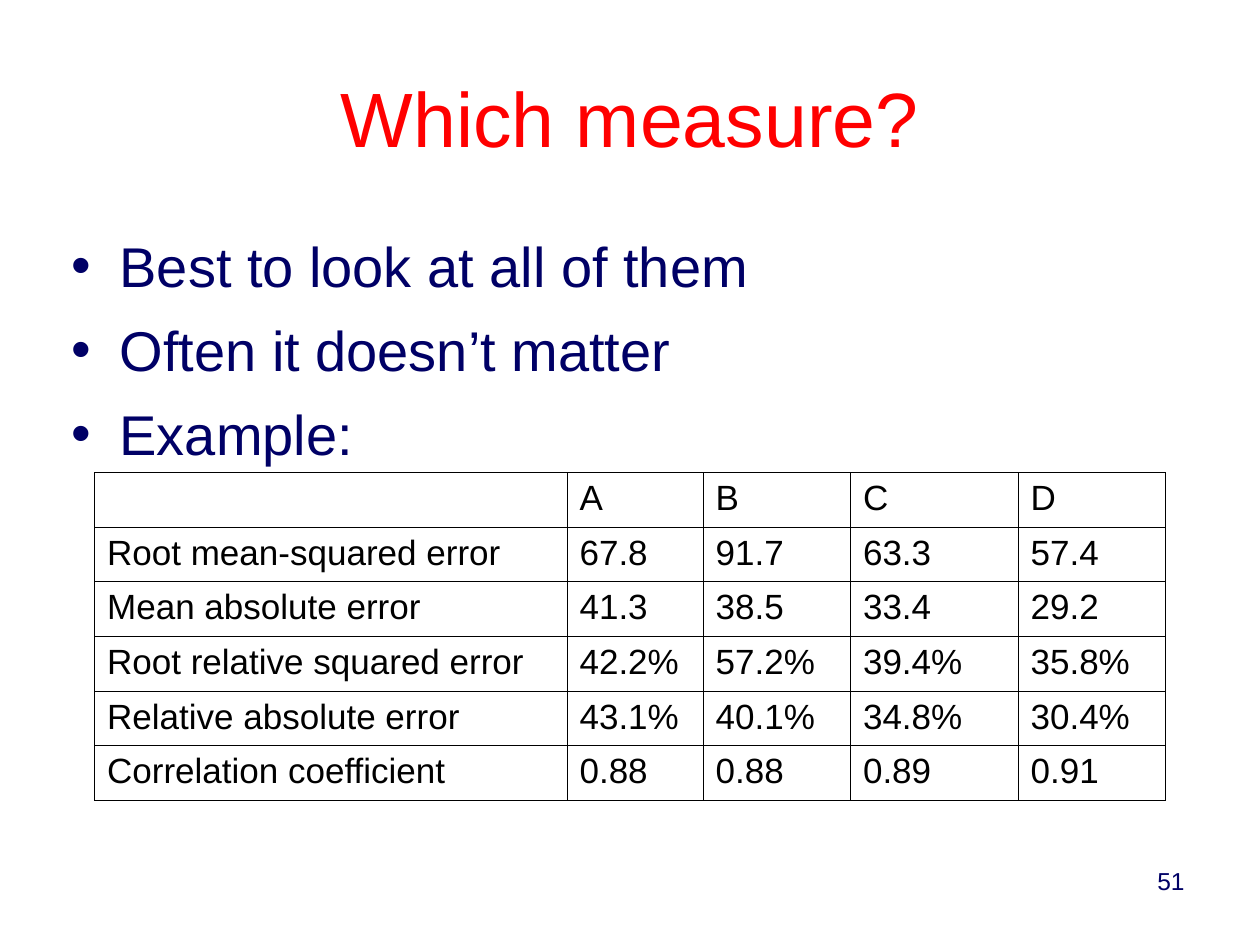
from lxml.etree import SubElement
from pptx import Presentation
from pptx.dml.color import RGBColor
from pptx.enum.text import MSO_ANCHOR, PP_ALIGN
from pptx.oxml.ns import qn
from pptx.util import Inches, Pt

WIDTH, HEIGHT = 10, 7.5
RED, NAVY, BLACK = "FF0000", "000066", "000000"


def rgb(value):
    return RGBColor.from_string(value)


class Deck:
    font = "Arial"
    bullet_indent = Inches(0.38)
    border_width = Pt(0.45)

    def __init__(self):
        self.prs = Presentation()
        self.prs.slide_width, self.prs.slide_height = Inches(WIDTH), Inches(HEIGHT)
        self.s = self.prs.slides.add_slide(self.prs.slide_layouts[6])

    def box(self, x, y, w, h):
        return (Inches(x * WIDTH), Inches(y * HEIGHT),
                Inches(w * WIDTH), Inches(h * HEIGHT))

    def style(self, p, size, color):
        for r in p.runs:
            r.font.name, r.font.size = self.font, Pt(size)
            r.font.color.rgb = rgb(color)

    def text(self, area, text, size, color, align=PP_ALIGN.LEFT, anchor=MSO_ANCHOR.TOP):
        tf = self.s.shapes.add_textbox(*self.box(*area)).text_frame
        tf.word_wrap, tf.vertical_anchor = True, anchor
        tf.text = text
        for p in tf.paragraphs:
            p.alignment = align
            self.style(p, size, color)
        return tf

    def bullets(self, area, items, size, color, gap):
        tf = self.text(area, "\n".join(items), size, color)
        tf.margin_left, tf.margin_top = Inches(0.07), Inches(0.09)
        for i, p in enumerate(tf.paragraphs):
            pPr = p._p.get_or_add_pPr()
            pPr.set("marL", str(self.bullet_indent))
            pPr.set("indent", str(-self.bullet_indent))
            SubElement(pPr, qn("a:buFont"), typeface=self.font)
            SubElement(pPr, qn("a:buChar"), char="•")
            if i:
                p.space_before = Pt(gap)

    def border(self, cell, color):
        tcPr = cell._tc.get_or_add_tcPr()
        for side in ("lnL", "lnR", "lnT", "lnB"):
            ln = SubElement(tcPr, qn(f"a:{side}"), w=str(self.border_width))
            fill = SubElement(ln, qn("a:solidFill"))
            SubElement(fill, qn("a:srgbClr"), val=color)

    def table(self, area, widths, rows, size, color):
        frame = self.s.shapes.add_table(len(rows), len(widths), *self.box(*area))
        table = frame.table
        table.first_row = table.horz_banding = False
        for column, width in zip(table.columns, widths):
            column.width = Inches(width * WIDTH)
        for i, row in enumerate(rows):
            for j, value in enumerate(row):
                cell = table.cell(i, j)
                cell.text = value
                self.style(cell.text_frame.paragraphs[0], size, color)
                self.border(cell, color)
                cell.fill.background()


def main():
    deck = Deck()
    deck.text((0.717, 0.91, 0.233, 0.07), "51", 14, NAVY, PP_ALIGN.RIGHT)
    deck.text((0.05, 0.04, 0.9, 0.167), "Which measure?", 44, RED,
              PP_ALIGN.CENTER, MSO_ANCHOR.MIDDLE)
    deck.bullets((0.05, 0.233, 0.9, 0.66),
                 ["Best to look at all of them", "Often it doesn’t matter", "Example:"],
                 32, NAVY, 9.5)
    deck.table((0.075, 0.5, 0.85, 0.347), [0.375, 0.108, 0.117, 0.133, 0.117], [
        ["", "A", "B", "C", "D"],
        ["Root mean-squared error", "67.8", "91.7", "63.3", "57.4"],
        ["Mean absolute error", "41.3", "38.5", "33.4", "29.2"],
        ["Root relative squared error", "42.2%", "57.2%", "39.4%", "35.8%"],
        ["Relative absolute error", "43.1%", "40.1%", "34.8%", "30.4%"],
        ["Correlation coefficient", "0.88", "0.88", "0.89", "0.91"],
    ], 20, BLACK)
    deck.prs.save("out.pptx")


if __name__ == "__main__":
    main()
